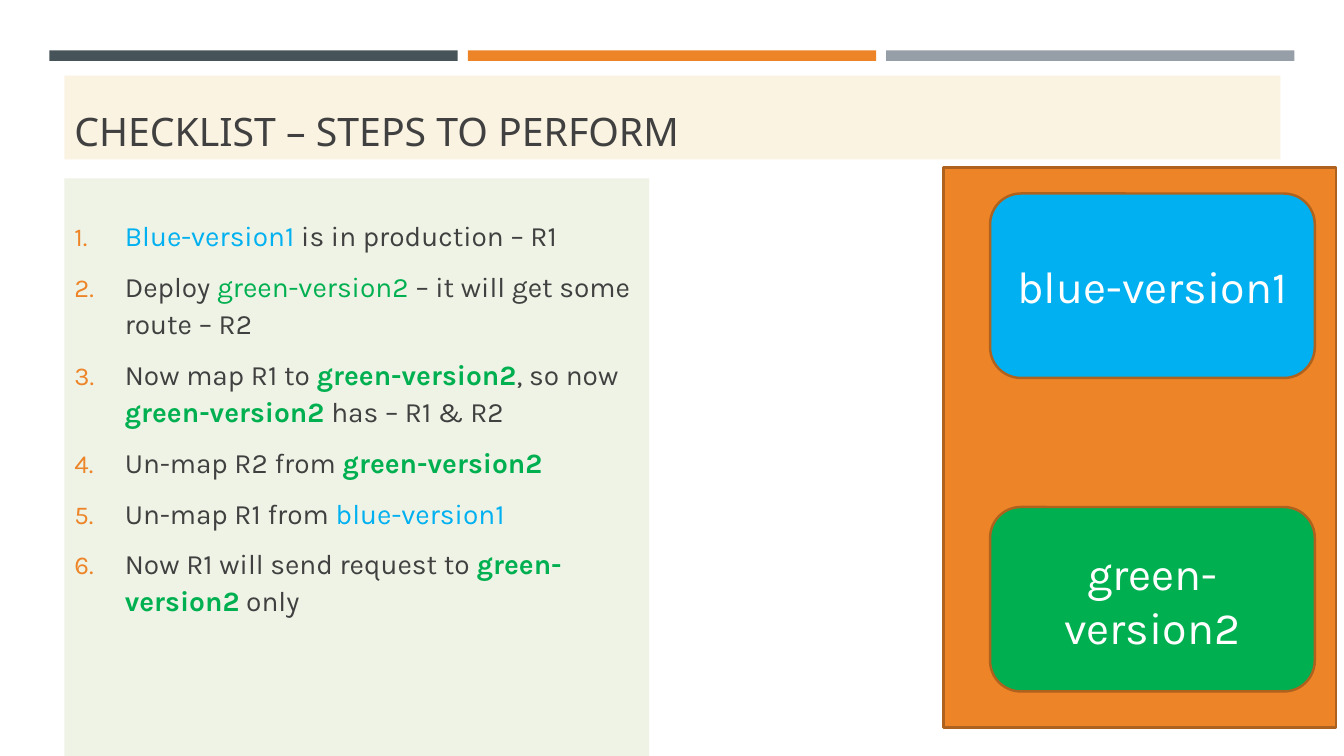
from dataclasses import dataclass
from lxml.etree import SubElement
from pptx import Presentation
from pptx.dml.color import RGBColor
from pptx.enum.shapes import MSO_SHAPE
from pptx.enum.text import MSO_ANCHOR, PP_ALIGN
from pptx.oxml.ns import qn
from pptx.util import Inches, Pt

WIDE, HIGH = Inches(13.33), Inches(7.5)


@dataclass(frozen=True)
class Theme:
    ink: str = "404040"
    slate: str = "465359"
    orange: str = "ED8428"
    gray: str = "969FA7"
    rust: str = "AF621E"
    cream: str = "FAF3E2"
    sage: str = "EEF3E5"
    blue: str = "00B0F0"
    green: str = "00B050"
    white: str = "FFFFFF"
    head: str = "Noto Sans"
    body: str = "Karla"
    title: int = 28
    step: int = 20
    card: int = 32


T = Theme()

# Runs that recur in the steps: text, colour, bold
GREEN = ("green-version2", T.green, False)
STRONG = ("green-version2", T.green, True)
STEPS = [
    [("Blue-version1", T.blue, False), " is in production – R1"],
    ["Deploy ", GREEN, " – it will get some route – R2"],
    ["Now map R1 to ", STRONG, ", so now ", STRONG, " has – R1 & R2"],
    ["Un-map R2 from ", STRONG],
    ["Un-map R1 from ", ("blue-version1", T.blue, False)],
    ["Now R1 will send request to ", STRONG, " only"],
]


def box(slide, left, top, width, height, fill, line=None,
        kind=MSO_SHAPE.RECTANGLE):
    """Add a filled shape; lengths are percent of the slide's size."""
    shape = slide.shapes.add_shape(
        kind, int(WIDE * left / 100), int(HIGH * top / 100),
        int(WIDE * width / 100), int(HIGH * height / 100))
    shape.shadow.inherit = False
    shape.fill.solid()
    shape.fill.fore_color.rgb = RGBColor.from_string(fill)
    if line:
        shape.line.color.rgb = RGBColor.from_string(line)
        shape.line.width = Pt(1.75)
    else:
        shape.line.fill.background()
    return shape


def number(para):
    """Turn a paragraph into a numbered step with a hanging indent."""
    para.line_spacing = 1.1
    para.space_before, para.space_after = Pt(4), Pt(6)
    props = para._p.get_or_add_pPr()
    props.set("marL", str(Inches(0.5)))
    props.set("indent", str(-Inches(0.5)))
    tint = SubElement(props, qn("a:buClr"))
    SubElement(tint, qn("a:srgbClr"), val=T.orange)
    SubElement(props, qn("a:buSzPct"), val="92000")
    SubElement(props, qn("a:buAutoNum"), type="arabicPeriod")


def write(shape, paras, size, font=T.body, color=T.ink, align=PP_ALIGN.LEFT,
          anchor=MSO_ANCHOR.MIDDLE, steps=False, below=0.05):
    """Fill a shape with paragraphs, each a list of plain or styled runs."""
    frame = shape.text_frame
    frame.word_wrap = True
    frame.vertical_anchor = anchor
    frame.margin_bottom = Inches(below)
    for i, parts in enumerate(paras):
        para = frame.add_paragraph() if i else frame.paragraphs[0]
        para.alignment = align
        if steps:
            number(para)
        for part in parts:
            text, tint, bold = (part, color, False) if isinstance(part, str) else part
            run = para.add_run()
            run.text = text
            run.font.name, run.font.size, run.font.bold = font, Pt(size), bold
            run.font.color.rgb = RGBColor.from_string(tint)


def card(slide, row, label, fill):
    """Add one version card in the panel."""
    shape = box(slide, 73.67, 25.6 + row * 41.47, 24.16, 24.4, fill, T.rust,
                MSO_SHAPE.ROUNDED_RECTANGLE)
    write(shape, [[label]], T.card, color=T.white, align=PP_ALIGN.CENTER)


def main():
    deck = Presentation()
    deck.slide_width, deck.slide_height = WIDE, HIGH
    slide = deck.slides.add_slide(deck.slide_layouts[6])

    # Top bars
    for col, fill in enumerate((T.slate, T.orange, T.gray)):
        box(slide, 3.68 + col * 31.13, 6.67, 30.38, 1.4, fill)

    # Title
    title = box(slide, 4.8, 10, 90.47, 11.07, T.cream)
    write(title, [["CHECKLIST – STEPS TO PERFORM"]], T.title, font=T.head,
          anchor=MSO_ANCHOR.BOTTOM)

    # Numbered steps, set above the middle by a deep lower margin
    steps = box(slide, 4.8, 23.6, 43.51, 76.4, T.sage)
    write(steps, STEPS, T.step, steps=True, below=1.06)

    # Panel with the two versions
    box(slide, 70.22, 22.13, 29.18, 74.13, T.orange, T.rust)
    card(slide, 0, "blue-version1", T.blue)
    card(slide, 1, "green-version2", T.green)

    deck.save("out.pptx")


main()
